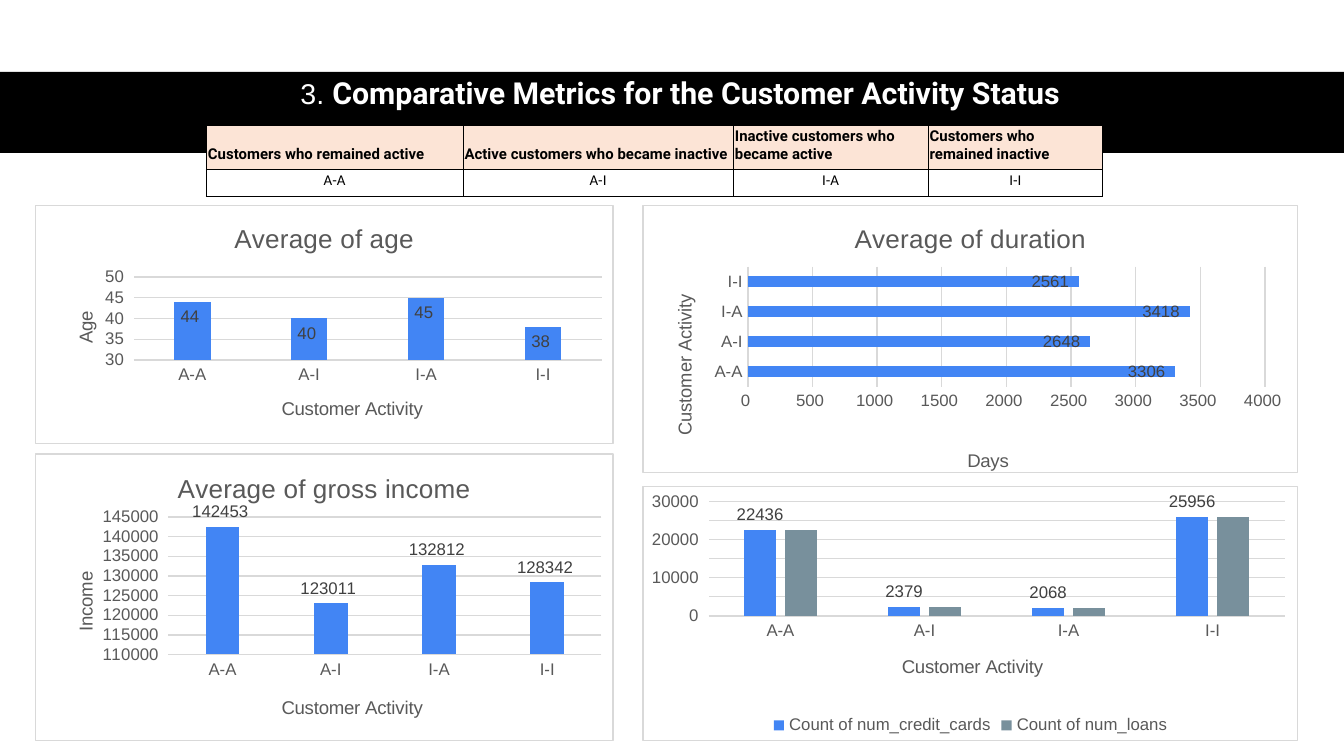
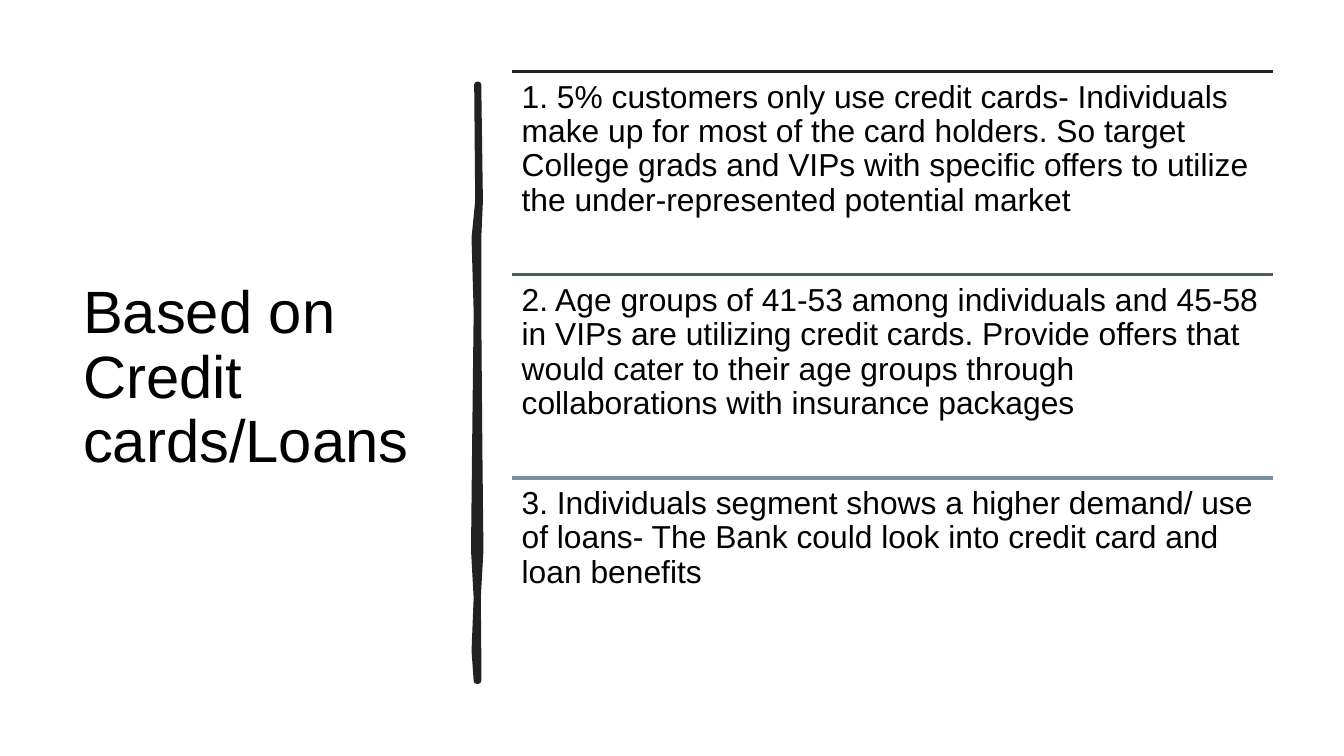
from lxml.etree import SubElement
from pptx import Presentation
from pptx.chart.data import CategoryChartData
from pptx.dml.color import RGBColor
from pptx.enum.chart import XL_CHART_TYPE, XL_LABEL_POSITION, XL_LEGEND_POSITION, XL_TICK_MARK
from pptx.enum.shapes import MSO_CONNECTOR, MSO_SHAPE
from pptx.enum.text import MSO_ANCHOR, MSO_AUTO_SIZE, PP_ALIGN
from pptx.oxml import parse_xml
from pptx.oxml.ns import nsdecls, qn
from pptx.util import Cm, Pt

COLORS = {
    "black": "000000", "white": "FFFFFF", "header": "FCE4D6",
    "blue": "4285F4", "slate": "78909C", "grid": "D9D9D9",
    "axis": "595959", "label": "404040", "ink": "212121", "moss": "4F5C4F",
}
TITLE_ONLY = 5
STATUSES = ["A-A", "A-I", "I-A", "I-I"]
STATUS_NAMES = [
    "Customers who remained active",
    "Active customers who became inactive",
    "Inactive customers who became active",
    "Customers who remained inactive",
]
ADVICE = [
    ("ink", "1. 5% customers only use credit cards- Individuals make up for most of the "
            "card holders. So target College grads and VIPs with specific offers to "
            "utilize the under-represented potential market"),
    ("moss", "2. Age groups of 41-53 among individuals and 45-58 in VIPs are utilizing "
             "credit cards. Provide offers that would cater to their age groups through "
             "collaborations with insurance packages"),
    ("slate", "3. Individuals segment shows a higher demand/ use of loans- The Bank could "
              "look into credit card and loan benefits"),
]
# Height, left edge and right edge of the hand-drawn divider, in cm
DIVIDER_EDGES = [
    (1.6, 9.02, 9.04), (3.8, 9.04, 9.07), (4.5, 8.97, 9.04),
    (5.9, 9.01, 9.04), (8.5, 8.98, 9.06), (10.4, 8.96, 9.08),
    (11.3, 9.01, 9.03), (12.3, 8.97, 9.04), (12.87, 9.01, 9.04),
]


def rgb(name):
    return RGBColor.from_string(COLORS[name])


def style_font(font, size, color, name="Arial", bold=False):
    font.size = Pt(size)
    font.name = name
    font.bold = bold
    font.color.rgb = rgb(color)


def add_span(para, text, size, color, name="Arial", bold=False):
    span = para.add_run()
    span.text = text
    style_font(span.font, size, color, name, bold)


def set_margins(target, left, top, right, bottom):
    target.margin_left, target.margin_top = Cm(left), Cm(top)
    target.margin_right, target.margin_bottom = Cm(right), Cm(bottom)


def set_title(page, place, align, spans, bottom=0.13):
    title = page.shapes.title
    title.left, title.top, title.width, title.height = map(Cm, place)
    frame = title.text_frame
    frame.word_wrap = True
    frame.auto_size = MSO_AUTO_SIZE.NONE
    frame.vertical_anchor = MSO_ANCHOR.MIDDLE
    set_margins(frame, 0.25, 0.13, 0.25, bottom)
    para = frame.paragraphs[0]
    para.alignment = align
    para.line_spacing = 0.9
    for span in spans:
        add_span(para, *span)


def add_band(page):
    """Put the black band behind everything else on the page."""
    band = page.shapes.add_shape(MSO_SHAPE.RECTANGLE, 0, Cm(1.36), Cm(25.4), Cm(1.53))
    band.shadow.inherit = False
    band.fill.solid()
    band.fill.fore_color.rgb = rgb("black")
    band.line.fill.background()
    page.shapes._spTree.insert(2, band._element)


def add_cell_borders(cell):
    properties = cell._tc.get_or_add_tcPr()
    for index, side in enumerate(("lnL", "lnR", "lnT", "lnB")):
        properties.insert(index, parse_xml(
            f'<a:{side} {nsdecls("a")} w="6350"><a:solidFill>'
            f'<a:srgbClr val="{COLORS["black"]}"/></a:solidFill></a:{side}>'))


def add_status_table(page):
    widths, heights = (4.85, 5.11, 3.68, 3.3), (0.84, 0.51)
    table = page.shapes.add_table(2, 4, Cm(3.9), Cm(2.37), Cm(sum(widths)),
                                  Cm(sum(heights))).table
    table.horz_banding = False
    for column, width in zip(table.columns, widths):
        column.width = Cm(width)
    for row, height in zip(table.rows, heights):
        row.height = Cm(height)
    for row_index, texts in enumerate((STATUS_NAMES, STATUSES)):
        is_header = row_index == 0
        for column_index, text in enumerate(texts):
            cell = table.cell(row_index, column_index)
            set_margins(cell, 0.03, 0.03, 0.03, 0.13)
            cell.vertical_anchor = MSO_ANCHOR.BOTTOM
            cell.fill.solid()
            cell.fill.fore_color.rgb = rgb("header" if is_header else "white")
            add_cell_borders(cell)
            para = cell.text_frame.paragraphs[0]
            para.alignment = PP_ALIGN.LEFT if is_header else PP_ALIGN.CENTER
            add_span(para, text, 8, "black", "Roboto" if is_header else "Calibri", is_header)


def set_layout(element, **fractions):
    """Place a chart part by fractions of the chart's size."""
    layout = element.find(qn("c:layout"))
    if layout is None:
        layout = parse_xml(f'<c:layout {nsdecls("c")}/>')
        element.insert(0, layout)
    manual = SubElement(layout, qn("c:manualLayout"))
    if "w" in fractions:
        SubElement(manual, qn("c:layoutTarget")).set("val", "inner")
    for key in ("x", "y"):
        SubElement(manual, qn(f"c:{key}Mode")).set("val", "edge")
    for key, value in fractions.items():
        SubElement(manual, qn(f"c:{key}")).set("val", str(value))


def add_axis_title(axis, text, x, y, upright):
    title = axis.axis_title
    add_span(title.text_frame.paragraphs[0], text, 10, "axis")
    body = next(title._element.iter(qn("a:bodyPr")))
    body.set("rot", "-5400000" if upright else "0")
    body.set("vert", "horz")
    set_layout(title._element, x=x, y=y)


def style_axes(chart, low, high, step):
    for axis in (chart.category_axis, chart.value_axis):
        axis.major_tick_mark = axis.minor_tick_mark = XL_TICK_MARK.NONE
        style_font(axis.tick_labels.font, 9, "axis")
    category_line = chart.category_axis.format.line
    category_line.color.rgb = rgb("grid")
    category_line.width = Pt(0.75)
    axis = chart.value_axis
    axis.minimum_scale, axis.maximum_scale, axis.major_unit = low, high, step
    axis.tick_labels.number_format = "0_ "
    axis.tick_labels.number_format_is_linked = False
    axis.format.line.fill.background()
    axis.has_major_gridlines = True
    axis.major_gridlines.format.line.color.rgb = rgb("grid")
    axis.major_gridlines.format.line.width = Pt(0.75)


def frame_chart(chart):
    chart._chartSpace.find(qn("c:chart")).addnext(parse_xml(
        f'<c:spPr {nsdecls("c", "a")}>'
        f'<a:solidFill><a:srgbClr val="{COLORS["white"]}"/></a:solidFill>'
        f'<a:ln w="9525"><a:solidFill><a:srgbClr val="{COLORS["grid"]}"/></a:solidFill></a:ln>'
        '</c:spPr>'))


def add_status_chart(page, place, series, scale, plot_area, category_at,
                     title=None, value_title=None, horizontal=False, inside=False):
    data = CategoryChartData()
    data.categories = STATUSES
    for name, values in series:
        data.add_series(name, values)
    kind = XL_CHART_TYPE.BAR_CLUSTERED if horizontal else XL_CHART_TYPE.COLUMN_CLUSTERED
    chart = page.shapes.add_chart(kind, *map(Cm, place), data).chart
    style_font(chart.font, 10, "black")
    frame_chart(chart)
    chart.has_title = title is not None
    if title:
        add_span(chart.chart_title.text_frame.paragraphs[0], title, 14, "axis")
    chart.has_legend = len(series) > 1
    if chart.has_legend:
        chart.legend.position = XL_LEGEND_POSITION.BOTTOM
        chart.legend.include_in_layout = False
        style_font(chart.legend.font, 9, "axis")

    style_axes(chart, *scale)
    add_axis_title(chart.category_axis, "Customer Activity", *category_at, horizontal)
    if value_title:
        add_axis_title(chart.value_axis, *value_title, not horizontal)
    x, y, w, h = plot_area
    set_layout(chart._chartSpace.find(f".//{qn('c:plotArea')}"), x=x, y=y, w=w, h=h)

    plot = chart.plots[0]
    plot.vary_by_categories = False
    plot.gap_width = 182 if horizontal else 219
    plot.overlap = 0 if horizontal else -27
    for bars, color in zip(plot.series, ("blue", "slate")):
        bars.format.fill.solid()
        bars.format.fill.fore_color.rgb = rgb(color)
    labels = plot.series[0].data_labels
    labels.show_value = True
    labels.number_format = "0_ " if title else "General"
    labels.number_format_is_linked = False
    labels.position = XL_LABEL_POSITION.INSIDE_END if inside else XL_LABEL_POSITION.OUTSIDE_END
    style_font(labels.font, 9, "label")


def add_divider(page):
    left_side = [(Cm(left), Cm(y)) for y, left, _ in DIVIDER_EDGES]
    right_side = [(Cm(right), Cm(y)) for y, _, right in DIVIDER_EDGES]
    builder = page.shapes.build_freeform(*left_side[0])
    builder.add_line_segments(left_side[1:] + right_side[::-1], close=True)
    divider = builder.convert_to_shape()
    divider.shadow.inherit = False
    divider.fill.solid()
    divider.fill.fore_color.rgb = rgb("ink")
    divider.line.color.rgb = rgb("ink")
    divider.line.width = Pt(3.25)


def add_advice(page, top, color, text):
    left, width, height = 9.68, 14.38, 3.84
    rule = page.shapes.add_connector(MSO_CONNECTOR.STRAIGHT, Cm(left), Cm(top),
                                     Cm(left + width), Cm(top))
    rule.line.color.rgb = rgb(color)
    rule.line.width = Pt(2)
    SubElement(rule._element.spPr, qn("a:effectLst"))
    box = page.shapes.add_textbox(Cm(left), Cm(top), Cm(width), Cm(height))
    frame = box.text_frame
    frame.word_wrap = True
    set_margins(frame, 0.18, 0.18, 0.18, 0.18)
    para = frame.paragraphs[0]
    para.line_spacing = 0.9
    add_span(para, text, 17, "black")


def build_metrics_page(deck):
    page = deck.slides.add_slide(deck.slide_layouts[TITLE_ONLY])
    add_band(page)
    set_title(page, (1.17, 1.32, 23.37, 1.55), PP_ALIGN.CENTER, [
        ("3. ", 15.3, "white"),
        ("Comparative Metrics for the Customer Activity Status", 16.2, "white", "Roboto", True),
    ], bottom=0.75)
    add_status_table(page)
    add_status_chart(
        page, (12.14, 9.18, 12.4, 4.83),
        [("Count of num_credit_cards", (22436, 2379, 2068, 25956)),
         ("Count of num_loans", (22400, 2400, 2100, 26000))],
        (0, 30000, 5000), (0.1, 0.06, 0.88, 0.45), (0.39, 0.65))
    add_status_chart(
        page, (12.14, 3.87, 12.4, 5.15),
        [("Average of duration", (3306, 2648, 3418, 2561))],
        (0, 4000, 500), (0.16, 0.23, 0.79, 0.45), (0.04, 0.33),
        "Average of duration", ("Days", 0.49, 0.9), horizontal=True, inside=True)
    add_status_chart(
        page, (0.66, 3.87, 10.94, 4.53),
        [("Average of age", (44, 40, 45, 38))],
        (30, 50, 5), (0.17, 0.3, 0.81, 0.35), (0.42, 0.79),
        "Average of age", ("Age", 0.06, 0.43), inside=True)
    add_status_chart(
        page, (0.66, 8.57, 10.94, 5.44),
        [("Average of gross income", (142453, 123011, 132812, 128342))],
        (110000, 145000, 5000), (0.23, 0.22, 0.75, 0.48), (0.42, 0.83),
        "Average of gross income", ("Income", 0.06, 0.4))


def build_advice_page(deck):
    page = deck.slides.add_slide(deck.slide_layouts[TITLE_ONLY])
    set_title(page, (1.32, 1.35, 7.11, 11.63), PP_ALIGN.LEFT,
              [("Based on Credit cards/Loans", 32, "black")])
    add_divider(page)
    for index, (color, text) in enumerate(ADVICE):
        add_advice(page, 1.35 + 3.84 * index, color, text)


def main():
    deck = Presentation()
    deck.slide_width, deck.slide_height = Cm(25.4), Cm(14.29)
    build_metrics_page(deck)
    build_advice_page(deck)
    deck.save("out.pptx")


if __name__ == "__main__":
    main()
